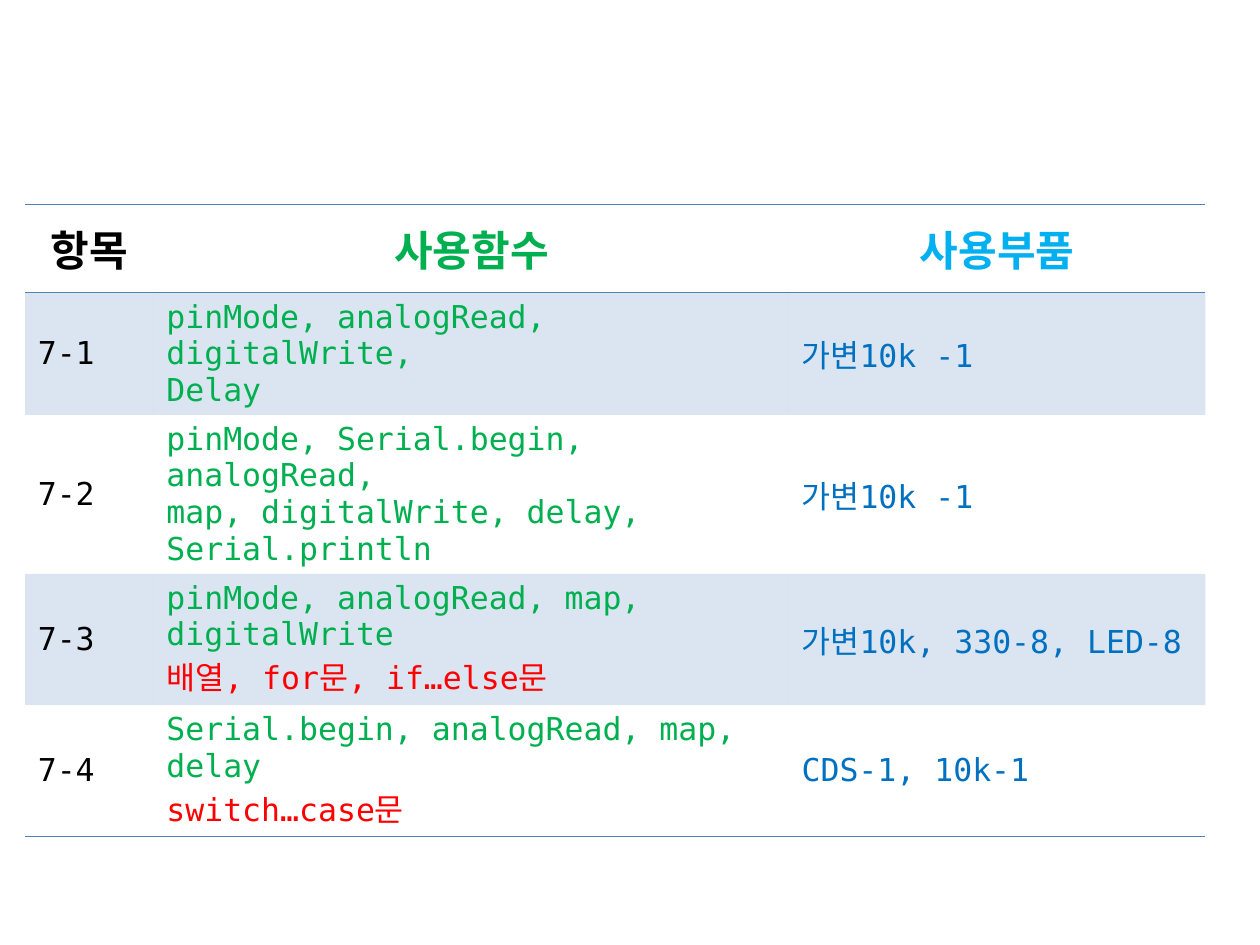
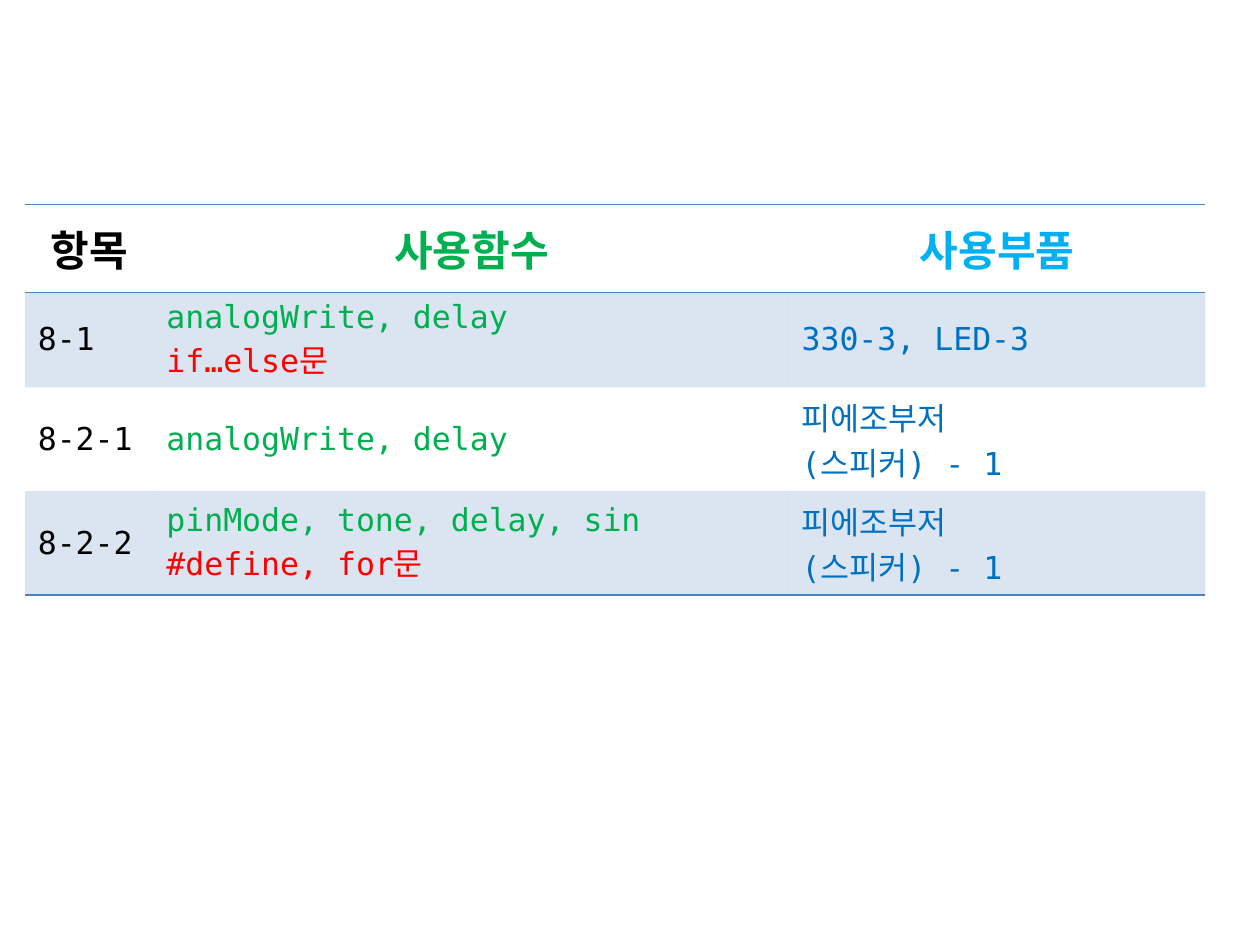
from lxml import etree
from pptx import Presentation
from pptx.dml.color import RGBColor
from pptx.enum import text
from pptx.oxml import ns
from pptx.util import Pt

BLACK = RGBColor(0x00, 0x00, 0x00)
GREEN = RGBColor(0x00, 0xB0, 0x50)
RED = RGBColor(0xFF, 0x00, 0x00)
SKY = RGBColor(0x00, 0xB0, 0xF0)
BLUE = RGBColor(0x00, 0x70, 0xC0)
RULE = RGBColor(0x4F, 0x81, 0xBD)
KOREAN, MONO = "Noto Sans CJK KR", "DejaVu Sans Mono"
NO_STYLE = "{2D5ABB26-0587-4C30-8999-92F81FD0307C}"

# Column heading, heading colour, body colour, width
COLUMNS = [
    ("항목", BLACK, BLACK, 73.5),
    ("사용함수", GREEN, GREEN, 363),
    ("사용부품", SKY, BLUE, 238),
]
ROW_HEIGHT = 50.4

# One list per slide; each line of a cell is a paragraph
CHAPTERS = [
    [
        ("7-1", "pinMode, analogRead, digitalWrite,\nDelay", "가변10k -1"),
        ("7-2", "pinMode, Serial.begin, analogRead,\n"
                "map, digitalWrite, delay, Serial.println", "가변10k -1"),
        ("7-3", "pinMode, analogRead, map, digitalWrite\n"
                "배열, for문, if…else문", "가변10k, 330-8, LED-8"),
        ("7-4", "Serial.begin, analogRead, map, delay\nswitch…case문",
         "CDS-1, 10k-1"),
    ],
    [
        ("8-1", "analogWrite, delay\nif…else문", "330-3, LED-3"),
        ("8-2-1", "analogWrite, delay", "피에조부저\n(스피커) - 1"),
        ("8-2-2", "pinMode, tone, delay, sin\n#define, for문",
         "피에조부저\n(스피커) - 1"),
    ],
]


def write_line(p, line, font, size, color, bold):
    r = p.add_run()
    r.text = line
    r.font.name, r.font.size, r.font.bold = font, Pt(size), bold
    r.font.color.rgb = color
    ea = etree.SubElement(r.font._element, ns.qn("a:ea"))
    ea.set("typeface", KOREAN)


def draw_borders(cell, sides):
    tcPr = cell._tc.get_or_add_tcPr()
    for i, side in enumerate(sides):
        ln = etree.Element(ns.qn("a:ln" + side), w=str(Pt(1)))
        fill = etree.SubElement(ln, ns.qn("a:solidFill"))
        etree.SubElement(fill, ns.qn("a:srgbClr"), val=str(RULE))
        tcPr.insert(i, ln)


prs = Presentation()
prs.slide_width, prs.slide_height = Pt(720), Pt(540)

for chapter in CHAPTERS:
    s = prs.slides.add_slide(prs.slide_layouts[6])
    rows = [[column[0] for column in COLUMNS]] + chapter
    frame = s.shapes.add_table(len(rows), len(COLUMNS), Pt(14.4), Pt(116.8),
                               Pt(sum(column[3] for column in COLUMNS)),
                               Pt(ROW_HEIGHT * len(rows)))
    table = frame.table
    table.horz_banding = False
    table._tbl.tblPr.find(ns.qn("a:tableStyleId")).text = NO_STYLE
    for column, spec_row in zip(table.columns, COLUMNS):
        column.width = Pt(spec_row[3])

    for i, row in enumerate(rows):
        table.rows[i].height = Pt(ROW_HEIGHT)
        for j, (_, head_color, body_color, _) in enumerate(COLUMNS):
            cell = table.cell(i, j)
            cell.vertical_anchor = text.MSO_ANCHOR.MIDDLE

            # Odd body rows are tinted
            if i % 2:
                cell.fill.solid()
                cell.fill.fore_color.rgb = RULE
                clr = cell._tc.tcPr.find(".//" + ns.qn("a:srgbClr"))
                etree.SubElement(clr, ns.qn("a:alpha"), val="20000")
            else:
                cell.fill.background()

            # Rules around the heading and under the last row
            if i == 0:
                draw_borders(cell, "TB")
            elif i == len(rows) - 1:
                draw_borders(cell, "B")

            # Statements, which end in 문, are red
            for n, line in enumerate(row[j].split("\n")):
                tf = cell.text_frame
                p = tf.add_paragraph() if n else tf.paragraphs[0]
                if i == 0:
                    p.alignment = text.PP_ALIGN.CENTER
                    write_line(p, line, KOREAN, 24, head_color, True)
                else:
                    color = RED if line.endswith("문") else body_color
                    write_line(p, line, MONO, 18, color, False)

prs.save("out.pptx")
